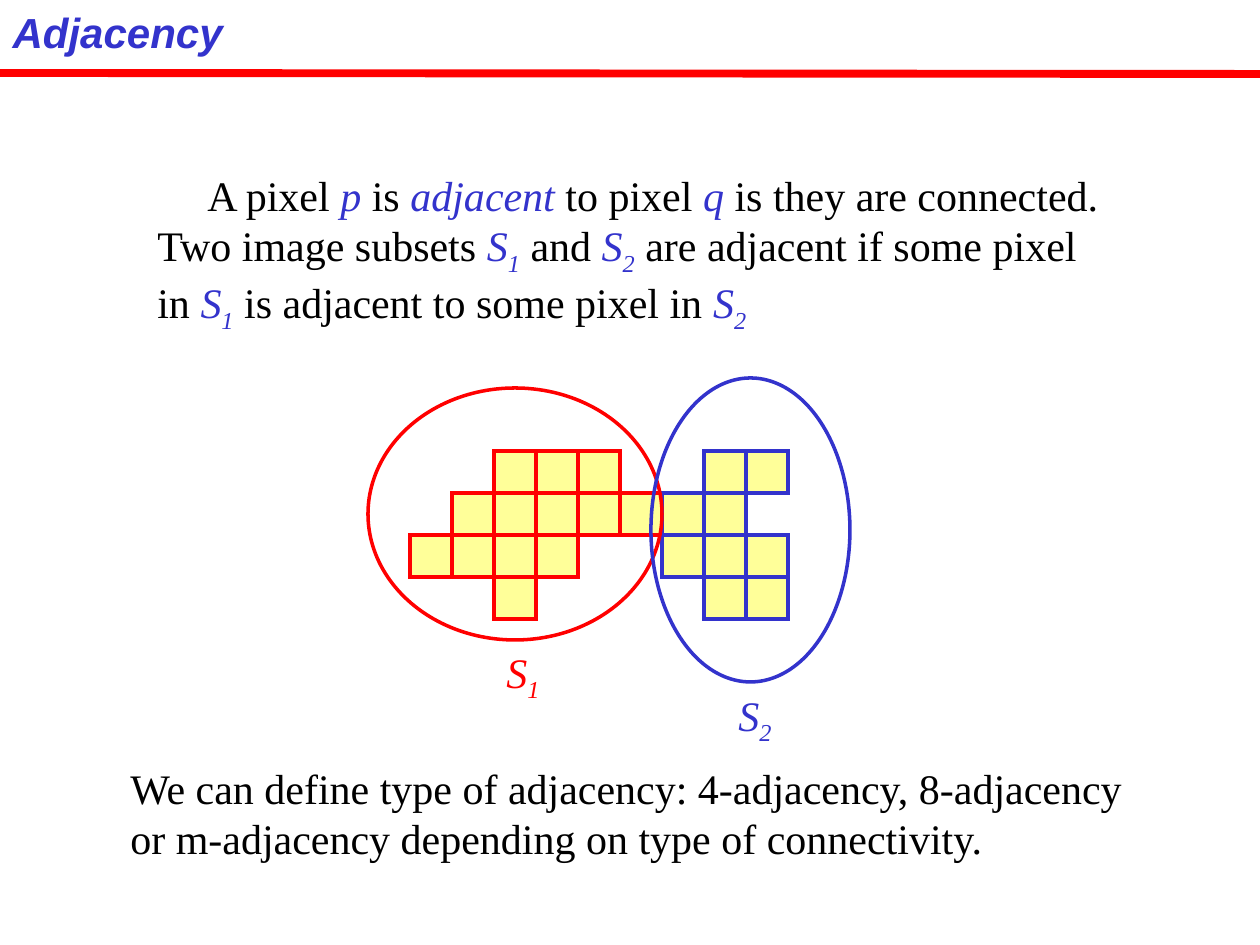
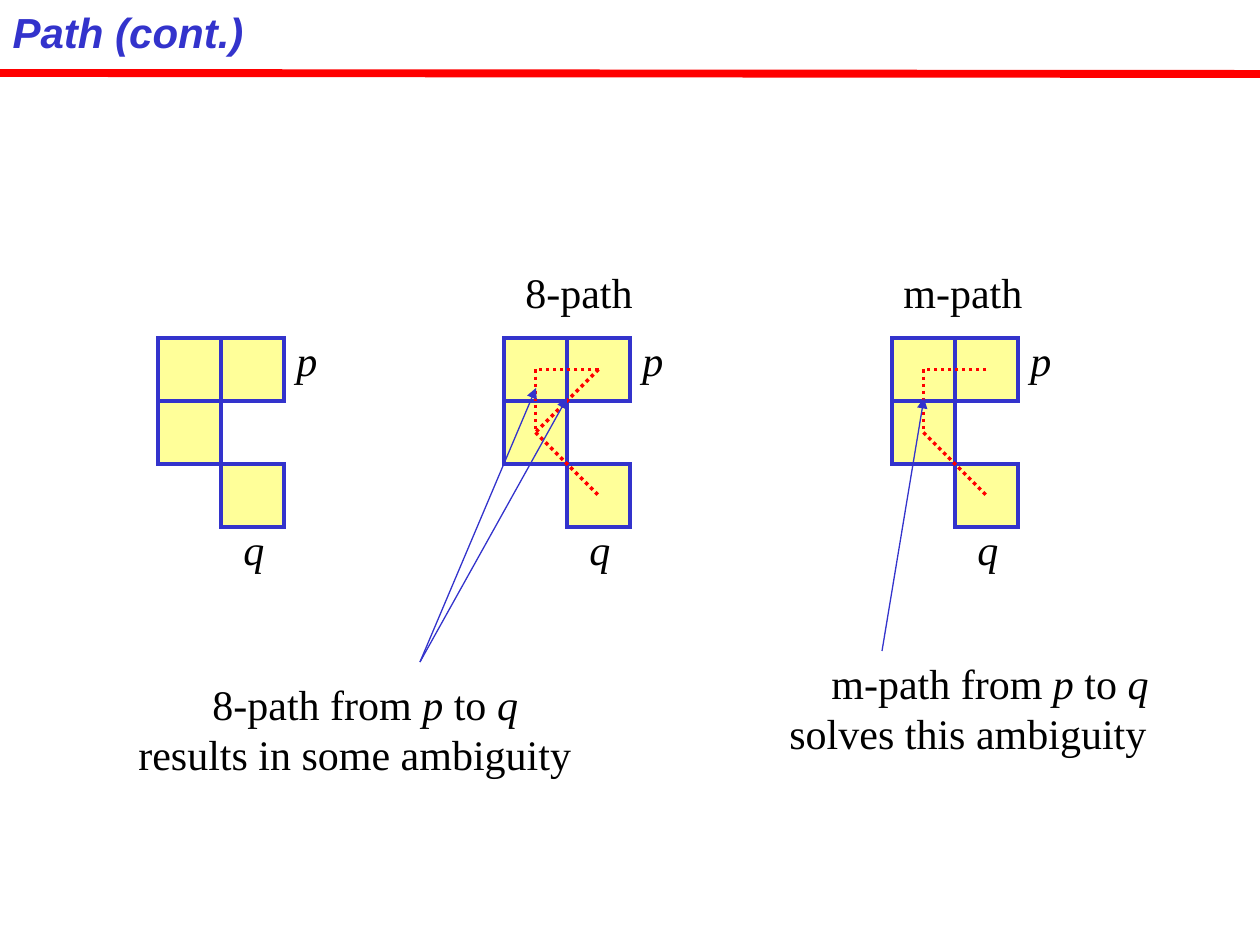
from lxml.etree import SubElement
from pptx import Presentation
from pptx.dml.color import RGBColor
from pptx.enum.dml import MSO_LINE
from pptx.enum.shapes import MSO_CONNECTOR, MSO_SHAPE
from pptx.enum.text import MSO_ANCHOR, MSO_AUTO_SIZE, PP_ALIGN
from pptx.oxml.ns import qn
from pptx.util import Emu, Pt

BLUE = RGBColor(0x33, 0x33, 0xCC)
RED = RGBColor(0xFF, 0x00, 0x00)
BLACK = RGBColor(0x00, 0x00, 0x00)
YELLOW = RGBColor(0xFF, 0xFF, 0x99)
HUES = {"R": RED, "B": BLUE}

TITLE = {"name": "Arial", "size": Pt(24), "bold": True, "italic": True}
BODY = {"name": "Times New Roman", "size": Pt(24), "bold": False}
FRAME = {"word_wrap": False, "auto_size": MSO_AUTO_SIZE.NONE,
         "vertical_anchor": MSO_ANCHOR.TOP}

WIDE, HIGH = 1260, 945

# In text, *...* is italic and _ starts a subscript inside it.
# Notes: (left, top, width, height), first-line indent, italic colour, lines
ADJACENT = [
    ((145, 163, 970, 178), 50, BLUE, [
        "A pixel *p* is *adjacent* to pixel *q* is they are connected.",
        "Two image subsets *S_1* and *S_2* are adjacent if some pixel",
        "in *S_1* is adjacent to some pixel in *S_2*"]),
    ((118, 756, 1023, 113), 0, BLACK, [
        "We can define type of adjacency: 4-adjacency, 8-adjacency",
        "or m-adjacency depending on type of connectivity."]),
]
SUBSETS = ["..RRR..BB", ".RRRRRBB.", "RRRR..BBB", "..R....BB"]
OVALS = [((368, 388, 294, 252), RED), ((651, 378, 199, 304), BLUE)]
NAMES = [((494, 640, 58, 71), RED, "*S_1*"), ((726, 683, 58, 71), BLUE, "*S_2*")]

PATHS = [
    ((126, 672, 457, 113), 74, BLACK,
     ["8-path from *p* to *q*", "results in some ambiguity"]),
    ((777, 651, 384, 113), 42, BLACK,
     ["m-path from *p* to *q*", "solves this ambiguity"]),
    ((513, 260, 132, 63), 0, BLACK, ["8-path"]),
    ((891, 260, 144, 63), 0, BLACK, ["m-path"]),
]
PIXELS = ["BB", "B.", ".B"]
CELL, TOP = 63, 338
# Steps join cells given as (column, row)
M_STEPS = [((1, 0), (0, 0)), ((0, 0), (0, 1)), ((0, 1), (1, 2))]
FIGURES = [(158, []), (504, M_STEPS + [((1, 0), (0, 1))]), (892, M_STEPS)]
ARROWS = [((420, 662), (567, 398)), ((420, 662), (536, 388)),
          ((882, 651), (924, 398))]


def px(*nums):
    return [Emu(round(n * 914400 / 126)) for n in nums]


def apply(obj, vals):
    for key, val in vals.items():
        setattr(obj, key, val)


def add_run(para, words, style, hue, italic=False, sub=False):
    run = para.add_run()
    run.text = words
    apply(run.font, {**style, "italic": italic})
    run.font.color.rgb = hue
    if sub:
        run.font._element.set("baseline", "-25000")


def add_text(shapes, spot, lines, hue=BLACK, indent=0):
    frame = shapes.add_textbox(*px(*spot)).text_frame
    apply(frame, FRAME)
    for row, line in enumerate(lines):
        para = frame.add_paragraph() if row else frame.paragraphs[0]
        if indent and not row:
            props = para._p.get_or_add_pPr()
            props.set("marL", "0")
            props.set("indent", str(px(indent)[0]))
        for i, part in enumerate(line.split("*")):
            slant = i % 2 == 1
            for j, bit in enumerate(part.split("_")):
                if bit:
                    add_run(para, bit, BODY, hue if slant else BLACK, slant, j > 0)


def add_form(shapes, kind, spot, hue, fill=None):
    form = shapes.add_shape(kind, *px(*spot))
    form.shadow.inherit = False
    if fill:
        form.fill.solid()
        form.fill.fore_color.rgb = fill
    else:
        form.fill.background()
    form.line.color.rgb = hue
    form.line.width = Pt(2)
    SubElement(form.line._get_or_add_ln(), qn("a:miter"), lim="800000")


def add_cells(shapes, rows, left, top, size):
    for r, row in enumerate(rows):
        for c, mark in enumerate(row):
            if mark in HUES:
                spot = left + c * size, top + r * size, size, size
                add_form(shapes, MSO_SHAPE.RECTANGLE, spot, HUES[mark], YELLOW)


def add_line(shapes, start, end, hue, width, dash=None, arrow=False):
    link = shapes.add_connector(MSO_CONNECTOR.STRAIGHT, *px(*start, *end))
    link.line.color.rgb = hue
    link.line.width = Pt(width)
    if dash:
        link.line.dash_style = dash
    if arrow:
        SubElement(link.line._get_or_add_ln(), qn("a:tailEnd"), type="triangle")
    SubElement(link._element.spPr, qn("a:effectLst"))


def add_slide(deck, name, notes):
    """Add a slide with its title, red rule and notes; return its shapes."""
    shapes = deck.slides.add_slide(deck.slide_layouts[5]).shapes
    title = shapes.title
    apply(title, dict(zip(("left", "top", "width", "height"), px(0, 0, WIDE, 63))))
    apply(title.text_frame, {**FRAME, "word_wrap": True})
    para = title.text_frame.paragraphs[0]
    para.alignment = PP_ALIGN.LEFT
    add_run(para, name, TITLE, BLUE, italic=True)
    add_line(shapes, (0, 73), (WIDE, 74), RED, 4.5)
    for spot, indent, hue, lines in notes:
        add_text(shapes, spot, lines, hue, indent)
    return shapes


def draw_subsets(deck):
    shapes = add_slide(deck, "Adjacency", ADJACENT)
    group = shapes.add_group_shape().shapes
    add_cells(group, SUBSETS, 410, 451, 42)
    for spot, hue in OVALS:
        add_form(group, MSO_SHAPE.OVAL, spot, hue)
    for spot, hue, name in NAMES:
        add_text(group, spot, [name], hue)


def draw_paths(deck):
    shapes = add_slide(deck, "Path (cont.)", PATHS)
    for left, steps in FIGURES:
        group = shapes.add_group_shape().shapes
        add_cells(group, PIXELS, left, TOP, CELL)
        add_text(group, (left + 2 * CELL, TOP - 10, 45, 63), ["*p*"])
        add_text(group, (left + CELL + 10, TOP + 3 * CELL - 10, 45, 63), ["*q*"])
        for step in steps:
            ends = [(left + CELL / 2 + c * CELL, TOP + CELL / 2 + r * CELL)
                    for c, r in step]
            add_line(shapes, *ends, RED, 2, dash=MSO_LINE.ROUND_DOT)
    for start, end in ARROWS:
        add_line(shapes, start, end, BLUE, 0.75, arrow=True)


def main():
    deck = Presentation()
    deck.slide_width, deck.slide_height = px(WIDE, HIGH)
    draw_subsets(deck)
    draw_paths(deck)
    deck.save("out.pptx")


if __name__ == "__main__":
    main()
